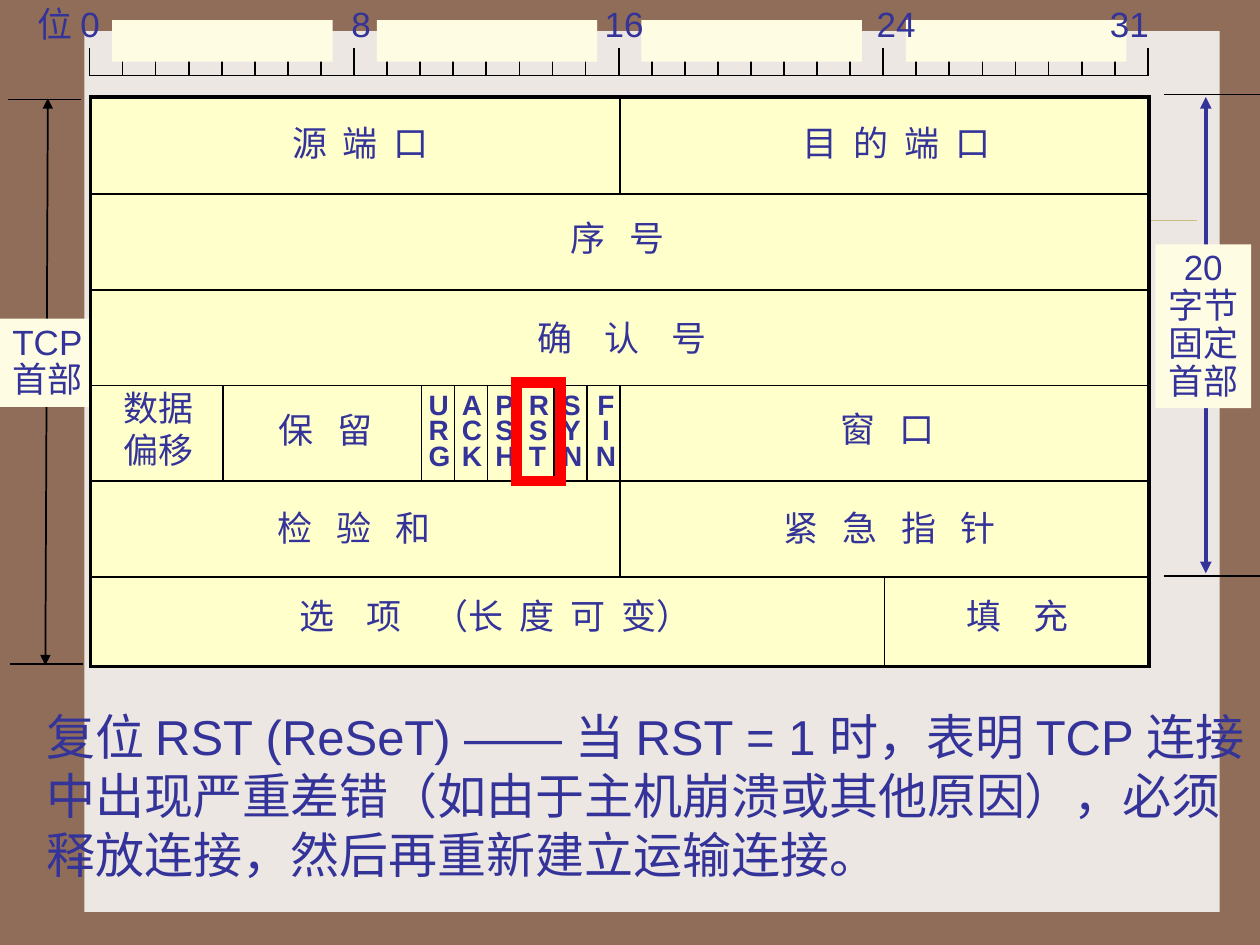
"""Build a slide of the TCP header layout with the RST flag framed."""
from pptx import Presentation, util as u
from pptx.dml.color import RGBColor
from pptx.enum import shapes, text
from pptx.oxml.ns import qn
from lxml import etree

COLORS = {"ground": "906D58", "panel": "EDE7E3", "rule": "CBBD83", "ink": "333399",
          "black": "000000", "cream": "FEFDE3", "header": "FFFFCC", "alert": "FF0000"}
HEX = {name: RGBColor.from_string(value) for name, value in COLORS.items()}
W, H = 10, 7.5
LEFT, TOP, BIT, ROW = 0.71, 0.78, 8.4 / 32, 0.76
RIGHT = LEFT + 32 * BIT
SPACE = 2.3

deck = Presentation()
deck.slide_width, deck.slide_height = u.Inches(W), u.Inches(H)
slide = deck.slides.add_slide(deck.slide_layouts[6])
slide.background.fill.solid()
slide.background.fill.fore_color.rgb = HEX["ground"]


def box(left, top, width, height, fill=None, line=None, weight=1, paragraphs=(),
        size=20, bold=False, align=text.PP_ALIGN.LEFT, leading=None, wrap=False):
    place = [u.Inches(v) for v in (left, top, width, height)]
    if fill or line:
        item = slide.shapes.add_shape(shapes.MSO_SHAPE.RECTANGLE, *place)
        item.shadow.inherit = False
    else:
        item = slide.shapes.add_textbox(*place)
    if fill:
        item.fill.solid()
        item.fill.fore_color.rgb = HEX[fill]
    else:
        item.fill.background()
    if line:
        item.line.color.rgb, item.line.width = HEX[line], u.Pt(weight)
        etree.SubElement(item.line._get_or_add_ln(), qn("a:miter"), lim="800000")
    else:
        item.line.fill.background()
    frame = item.text_frame
    if paragraphs:
        frame.word_wrap = wrap
        frame.auto_size = text.MSO_AUTO_SIZE.SHAPE_TO_FIT_TEXT
        frame.vertical_anchor = text.MSO_ANCHOR.TOP
    for index, runs in enumerate(paragraphs):
        paragraph = frame.add_paragraph() if index else frame.paragraphs[0]
        paragraph.alignment, paragraph.line_spacing = align, leading
        for words, spacing in runs:
            run = paragraph.add_run()
            run.text = words
            run.font.name, run.font.size, run.font.bold = "Arial", u.Pt(size), bold
            run.font.color.rgb = HEX["ink"]
            if spacing:
                run.font._element.set("spc", str(round(spacing * 100)))
    return item


def stroke(x1, y1, x2, y2, color="black", weight=1, arrows=False):
    rule = slide.shapes.add_connector(shapes.MSO_CONNECTOR.STRAIGHT,
                                      *[u.Inches(v) for v in (x1, y1, x2, y2)])
    rule.line.color.rgb, rule.line.width = HEX[color], u.Pt(weight)
    if arrows:
        for end in ("a:headEnd", "a:tailEnd"):
            etree.SubElement(rule.line._get_or_add_ln(), qn(end), type="triangle")
    etree.SubElement(rule._element.spPr, qn("a:effectLst"))


box(0.067 * W, 0.033 * H, 0.901 * W, 0.932 * H, fill="panel")
stroke(0.111 * W, 1.75, 0.95 * W, 1.75, "rule", 0.25)

stroke(0.038 * W, TOP, 0.036 * W, 5.28, arrows=True)
box(0, 2.53, 0.076 * W, 0.7, fill="cream", leading=0.9,
    paragraphs=[[(words, 0)] for words in ("TCP", "首部")])
stroke(0.957 * W, 0.77, 0.957 * W, 4.55, "ink", 2.25, arrows=True)
box(0.917 * W, 1.94, 0.076 * W, 1.3, fill="cream", leading=0.9, align=text.PP_ALIGN.CENTER,
    paragraphs=[[(words, 0)] for words in ("20", "字节", "固定", "首部")])

box(LEFT + 0.01, TOP - 0.01, 32 * BIT, 4.52, fill="header", line="black", weight=2)
for row in range(1, 6):
    stroke(LEFT, TOP + row * ROW, RIGHT + 0.02, TOP + row * ROW)
dividers = [(16, 0, 1), (16, 3, 5), (4, 3, 4), (24, 5, 5.93)]
dividers += [(bit, 3, 4) for bit in range(10, 16)]
for bit, first_row, last_row in dividers:
    x = LEFT + 0.01 + bit * BIT
    stroke(x, TOP + first_row * ROW, x, TOP + last_row * ROW)

fields = [
    (5.75, 0.18, 6, [[("源 端 口", SPACE)]]),
    (21.18, 0.18, 7.5, [[("目 的 端 口", SPACE)]]),
    (14.17, 1.17, 5.75, [[("序 号", 2 * SPACE)]]),
    (13.18, 2.21, 7.66, [[("确 认 号", 3 * SPACE)]]),
    (0.65, 2.95, 3.2, [[("数据", 0)], [("偏移", 0)]]),
    (5.33, 3.18, 4.6, [[("保 留", 2 * SPACE)]]),
    (22.32, 3.16, 4.6, [[("窗 口", 2 * SPACE)]]),
    (5.3, 4.2, 6.5, [[("检 验 和", 2 * SPACE)]]),
    (20.61, 4.2, 8.3, [[("紧 急 指 针", 2 * SPACE)]]),
    (5.98, 5.12, 14, [[("选 项 ", 3 * SPACE), ("（", 0), ("长 度 可 ", SPACE), ("变）", 0)]]),
    (26.13, 5.12, 5.22, [[("填 充", 3 * SPACE)]]),
]
for bit, row, bits, words in fields:
    box(LEFT + bit * BIT, TOP + row * ROW, bits * BIT, 0.43 if len(words) == 1 else ROW,
        paragraphs=words, wrap=True)

for index, flag in enumerate(("URG", "ACK", "PSH", "RST", "SYN", "FIN")):
    box(LEFT + (9.88 + index * 1.01) * BIT, TOP + 3.04 * ROW, 0.36, 0.7, size=16, bold=True,
        leading=0.75, paragraphs=[[(letter, 0)] for letter in flag],
        align=text.PP_ALIGN.CENTER if flag == "FIN" else text.PP_ALIGN.LEFT)

stroke(LEFT, 0.08 * H, RIGHT, 0.08 * H)
for bit in range(33):
    x = LEFT + bit * BIT
    stroke(x, 0.27 if bit % 8 else 0.38, x, 0.08 * H)
for byte in range(4):
    box(LEFT + 0.18 + byte * 8 * BIT, 0.16, 1.75, 0.33, fill="cream")
bit_scale = box(0.02 * W, -0.03, 0.904 * W, 0.43, wrap=True,
                paragraphs=[[("位 0\t8\t16\t24\t31", 0)]])
tabs = etree.SubElement(bit_scale.text_frame.paragraphs[0]._p.get_or_add_pPr(), qn("a:tabLst"))
for stop in (2.49, 4.5, 6.66, 8.51):
    etree.SubElement(tabs, qn("a:tab"), pos=str(u.Inches(stop)), algn="l")

for start, end, y in ((0.924, 1, 0.75), (0.924, 1, 4.57), (0.006, 0.064, 0.79),
                      (0.008, 0.066, 5.27)):
    stroke(start * W, y, end * W, y)

box(0.027 * W, 5.56, 0.973 * W, 0.2 * H, size=28, wrap=True, paragraphs=[[(
    "复位 RST (ReSeT) —— 当 RST = 1 时，表明 TCP 连接中出现严重差错"
    "（如由于主机崩溃或其他原因），必须释放连接，然后再重新建立运输连接。", 0)]])
box(0.41 * W, TOP + 2.97 * ROW, 0.35, 0.78, line="alert", weight=6)

deck.save("out.pptx")
